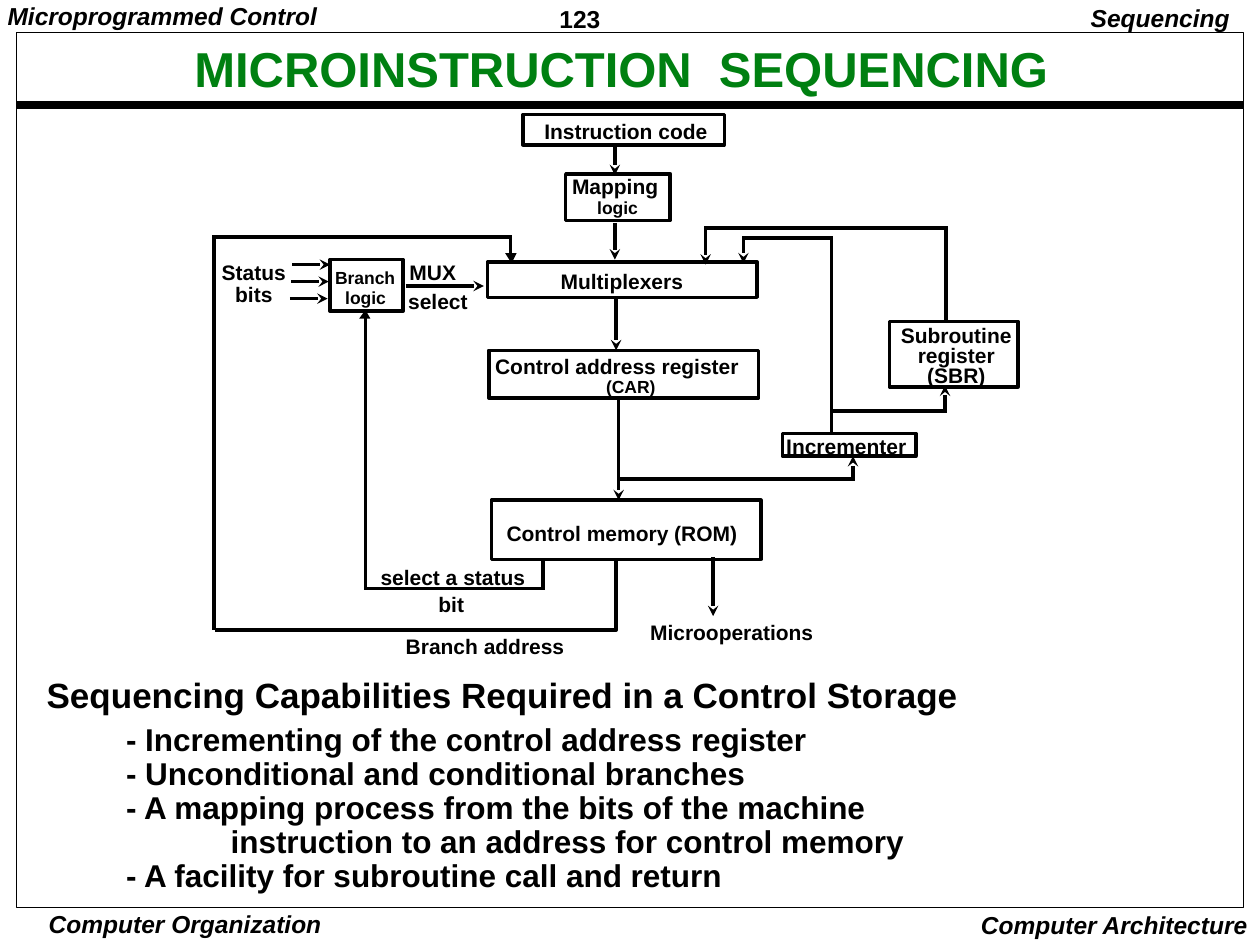
import dataclasses
import itertools
import typing

import pptx
import pptx.dml.color
import pptx.enum.shapes
import pptx.enum.text
import pptx.oxml.ns
import pptx.util

BLACK = pptx.dml.color.RGBColor(0x00, 0x00, 0x00)
GREEN = pptx.dml.color.RGBColor(0x00, 0x80, 0x11)

# The slide is a grid of 100 columns by 75 rows
COLUMNS, ROWS = 100, 75
WIDTH, HEIGHT = pptx.util.Inches(10), pptx.util.Inches(7.5)

LEFT = pptx.enum.text.PP_ALIGN.LEFT
CENTER = pptx.enum.text.PP_ALIGN.CENTER
RIGHT = pptx.enum.text.PP_ALIGN.RIGHT
TOP = pptx.enum.text.MSO_ANCHOR.TOP
MIDDLE = pptx.enum.text.MSO_ANCHOR.MIDDLE

Point = tuple[float, float]


@dataclasses.dataclass(frozen=True)
class Label:
    lines: tuple[str, ...]
    column: float
    row: float
    columns: float
    rows: float
    size: float = 12
    align: typing.Any = LEFT
    spacing: float = 0.9
    inset: float = 0.8
    italic: bool = False
    color: typing.Any = BLACK
    anchor: typing.Any = TOP


class Box(typing.NamedTuple):
    column: float
    row: float
    columns: float
    rows: float
    weight: float = 2


class Route(typing.NamedTuple):
    points: tuple[Point, ...]
    arrow: bool = True
    weight: float = 2


def across(columns: float) -> int:
    return round(WIDTH * columns / COLUMNS)


def down(rows: float) -> int:
    return round(HEIGHT * rows / ROWS)


def add_label(slide, label: Label, indented: tuple[int, ...] = ()) -> None:
    """Draw a text, inset only on the side it is aligned to."""
    frame = slide.shapes.add_textbox(
        across(label.column), down(label.row), across(label.columns), down(label.rows)
    ).text_frame
    frame.word_wrap = True
    frame.vertical_anchor = label.anchor
    frame.margin_left = across(label.inset) if label.align == LEFT else 0
    frame.margin_right = across(label.inset) if label.align == RIGHT else 0
    frame.margin_top = frame.margin_bottom = down(label.inset / 2)
    for index, line in enumerate(label.lines):
        paragraph = frame.paragraphs[0] if index == 0 else frame.add_paragraph()
        paragraph.alignment = label.align
        paragraph.line_spacing = label.spacing
        if index in indented:
            paragraph._p.get_or_add_pPr().set("marL", str(across(8.3)))
        run = paragraph.add_run()
        run.text = line
        run.font.name = "Arial"
        run.font.size = pptx.util.Pt(label.size)
        run.font.bold = True
        run.font.italic = label.italic
        run.font.color.rgb = label.color


def add_box(slide, box: Box) -> None:
    outline = slide.shapes.add_shape(
        pptx.enum.shapes.MSO_SHAPE.RECTANGLE,
        across(box.column), down(box.row), across(box.columns), down(box.rows),
    )
    outline.shadow.inherit = False
    outline.fill.background()
    outline.line.color.rgb = BLACK
    outline.line.width = pptx.util.Pt(box.weight)


def add_route(slide, route: Route) -> None:
    """Draw a path of straight lines, with the arrowhead on the last one."""
    legs = list(itertools.pairwise(route.points))
    for number, (start, end) in enumerate(legs, 1):
        leg = slide.shapes.add_connector(
            pptx.enum.shapes.MSO_CONNECTOR.STRAIGHT,
            across(start[0]), down(start[1]), across(end[0]), down(end[1]),
        )
        leg.line.color.rgb = BLACK
        leg.line.width = pptx.util.Pt(route.weight)
        properties = leg._element.spPr
        if route.arrow and number == len(legs):
            tail = pptx.oxml.parse_xml(
                f'<a:tailEnd {pptx.oxml.ns.nsdecls("a")} type="stealth"/>')
            leg.line._get_or_add_ln().append(tail)
        elif len(legs) > 1:
            leg.line._get_or_add_ln().set("cap", "sq")
        properties.append(pptx.oxml.parse_xml(
            f'<a:effectLst {pptx.oxml.ns.nsdecls("a")}/>'))


def add_outline(slide, points: tuple[Point, ...], filled: bool) -> None:
    """Draw a solid closed shape, or an open line when not filled."""
    corners = [(across(column), down(row)) for column, row in points]
    builder = slide.shapes.build_freeform(*corners[0], scale=1.0)
    builder.add_line_segments(corners[1:], close=filled)
    outline = builder.convert_to_shape()
    outline.shadow.inherit = False
    if filled:
        outline.fill.solid()
        outline.fill.fore_color.rgb = BLACK
        outline.line.fill.background()
    else:
        outline.fill.background()
        outline.line.color.rgb = BLACK
        outline.line.width = pptx.util.Pt(2)


PAGE_LABELS = (
    Label(("123",), 43.7, 0, 10.8, 2.9, 14, spacing=1, inset=0.7),
    Label(("Computer Organization",), 3.2, 72, 23, 2.6, 14, CENTER, 1, 0.3, True),
    Label(("Computer Architecture",), 76.8, 71.7, 23.2, 3.3, 14, RIGHT, 1, 1, True),
    Label(("Sequencing",), 85.6, 0, 13, 3.1, 14, RIGHT, inset=1, italic=True),
    Label(("Microprogrammed Control",), -0.1, 0, 26, 2.7, 14, inset=0.7, italic=True),
    Label(("MICROINSTRUCTION  SEQUENCING",), 8.9, 3.8, 80.8, 3.8, 28, CENTER,
          inset=1, color=GREEN, anchor=MIDDLE),
    Label(("Sequencing Capabilities Required in a Control Storage",),
          3, 53.1, 73.8, 3.9, 20, spacing=1, inset=0.7),
)

CAPABILITIES = Label((
    "- Incrementing of the control address register",
    "- Unconditional and conditional branches",
    "- A mapping process from the bits of the machine",
    "instruction to an address for control memory",
    "- A facility for subroutine call and return",
), 9.3, 57.1, 63.2, 14.1, 18, inset=0.7)

BLOCKS = (
    Box(41.5, 9.1, 16, 2.4),      # instruction code
    Box(44.9, 13.8, 8.3, 3.7),    # mapping logic
    Box(38.7, 20.8, 21.4, 2.8),   # multiplexers
    Box(38.8, 27.8, 21.4, 3.8),   # control address register
    Box(39, 39.7, 21.4, 4.7),     # control memory
    Box(70.6, 25.5, 10.2, 5.2),   # subroutine register
    Box(62.1, 34.4, 10.6, 1.8),   # incrementer
    Box(26.2, 20.6, 5.8, 4.1),    # branch logic
)

BLOCK_LABELS = (
    Label(("Instruction code",), 42.4, 9.2, 14.6, 2.6),
    Label(("Mapping",), 44.6, 13.6, 8.5, 4.4),
    Label(("logic",), 46.6, 15.4, 4.8, 2.3, 10),
    Label(("Multiplexers",), 43.7, 21.1, 11.3, 2.6),
    Label(("Control address register",), 38.5, 27.9, 21, 4.4),
    Label(("(CAR)",), 47.3, 29.6, 5.5, 2.3, 10),
    Label(("Control memory (ROM)",), 39.4, 41.1, 19.9, 2.6),
    Label(("Subroutine", "register", "(SBR)"), 70.7, 25.6, 10.4, 5.6, 12, CENTER, 0.8),
    Label(("Incrementer",), 61.6, 34.2, 11.1, 2.6),
    Label(("Branch",), 25.8, 21, 6.4, 3.8, 10),
    Label(("logic",), 26.6, 22.6, 4.8, 2.3, 10),
    Label(("Status", "bits"), 16.8, 20.4, 6.7, 4.4, 12, CENTER),
    Label(("MUX",), 31.7, 20.4, 5.3, 4.4),
    Label(("select",), 31.6, 22.7, 6.3, 2.6),
    Label(("select a status",), 29.4, 44.6, 13.1, 4.4),
    Label(("bit",), 34, 46.8, 3.6, 2.6),
    Label(("Branch address",), 31.4, 50.1, 14.2, 2.6),
    Label(("Microoperations",), 50.8, 49, 14.6, 2.6),
)

STATUS_BITS = tuple(
    Route(((23.2 - 0.1 * bit, 21 + 1.35 * bit), (26.2 - 0.1 * bit, 21 + 1.35 * bit)))
    for bit in range(3)
)

SIGNALS = STATUS_BITS + (
    Route(((48.8, 11.5), (48.8, 13.9))),    # code to mapping
    Route(((48.8, 17.7), (48.8, 20.6))),    # mapping to multiplexers
    Route(((48.9, 23.6), (48.9, 27.8))),    # multiplexers to CAR
    Route(((49.1, 31.6), (49.1, 39.7))),    # CAR to memory
    Route(((56.6, 44.2), (56.6, 48.9))),    # memory to microoperations
    Route(((32.2, 22.7), (38.4, 22.7))),    # MUX select
    Route(((49.1, 38), (67.7, 38), (67.7, 36.2))),                  # CAR to incrementer
    Route(((66, 34.3), (66, 18.9), (59, 18.9), (59, 20.9))),        # incrementer to MUX
    Route(((66, 32.6), (75, 32.6), (75, 30.6))),                    # incrementer to SBR
    Route(((75.1, 25.5), (75.1, 18.1), (56, 18.1), (56, 21))),      # SBR to MUX
    Route(((43.1, 44.4), (43.1, 46.7), (29, 46.7), (29, 25.3)), False),    # status select
    Route(((17, 49.9), (17, 18.8), (40.5, 18.8), (40.5, 20.2)), False),    # branch address
)

ARROW_TIPS = (
    ((40.1, 20.1), (41, 20.1), (40.6, 20.9)),
    ((28.5, 25.3), (29.4, 25.3), (29, 24.6)),
)


def main() -> None:
    presentation = pptx.Presentation()
    presentation.slide_width, presentation.slide_height = WIDTH, HEIGHT
    slide = presentation.slides.add_slide(presentation.slide_layouts[6])

    # Page frame, rule, title and text
    add_route(slide, Route(((1.3, 8.3), (98.7, 8.3)), False, 4.5))
    add_box(slide, Box(1.3, 2.6, 97.4, 69.4, 0.5))
    for label in PAGE_LABELS:
        add_label(slide, label)
    add_label(slide, CAPABILITIES, indented=(3,))

    # Sequencer diagram
    for block in BLOCKS:
        add_box(slide, block)
    for label in BLOCK_LABELS:
        add_label(slide, label)
    for signal in SIGNALS:
        add_route(slide, signal)
    add_outline(slide, ((48.9, 44.5), (48.9, 50), (17.1, 50)), filled=False)
    for tip in ARROW_TIPS:
        add_outline(slide, tip, filled=True)

    presentation.save("out.pptx")


if __name__ == "__main__":
    main()
